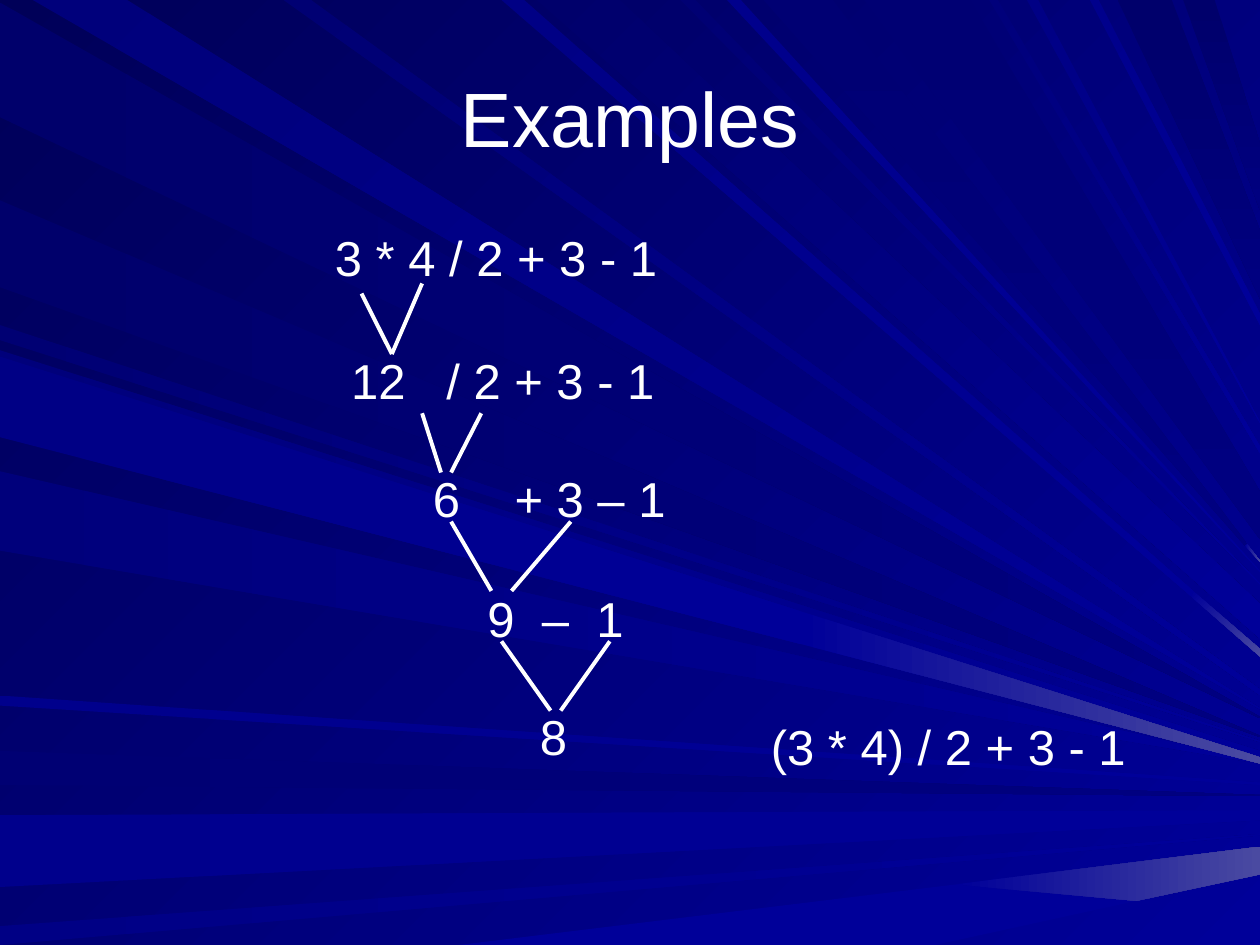
"""Slide of an expression evaluated step by step over a field of blue rays."""
from lxml.etree import SubElement
from pptx import Presentation
from pptx.dml.color import RGBColor as Rgb
from pptx.enum.shapes import MSO_CONNECTOR as Connector
from pptx.enum.text import MSO_ANCHOR as Anchor, MSO_AUTO_SIZE as AutoSize, PP_ALIGN as Align
from pptx.oxml.ns import qn
from pptx.util import Emu, Inches, Pt

COLUMNS, ROWS = 1000, 750
CELL = Inches(0.01)
FONT = "Arial"
SPACE = Pt(28 * 0.278)

COLORS = {
    "white": "FFFFFF", "haze": "4A4AA1", "night": "000058",
    "deep": "00006B", "dark": "000073", "dusk": "00007B",
    "navy": "000080", "mid": "000085", "soft": "00008C", "blue": "000099",
}

RAYS = [
    ("left", 2, 93, 569, "deep", "navy"),
    ("top", 26, 101, 562, "dusk", "blue"),
    ("left", 596, 623, 631, "dark", "navy"),
    ("left", 647, 704, 643, "soft", "blue", 8),
    ("left", 735, 750, 662, "mid", "blue"),
    ("bottom", 364, 742, 672, "blue", "blue", 22, 0.62),
    ("left", 258, 270, 588, "dark", "blue"),
    ("left", 159, 228, 584, "deep", "navy"),
    ("top", 398, 416, 515, "mid", "blue", 6, 0.91),
    ("top", 426, 492, 479, "deep", "blue", 28),
    ("top", 540, 552, 463, "dark", "blue"),
    ("top", 606, 661, 445, "dark", "navy", 1, 0.97),
    ("top", 887, 930, 183, "deep", "navy", 54),
    ("top", 939, 964, 114, "deep", "navy", 53),
    ("left", 278, 342, 596, "dusk", "blue", 6),
    ("left", 374, 437, 605, "dusk", "blue"),
    ("left", 552, 560, 621, "soft", "blue", 2),
    ("top", 225, 247, 547, "dark", "blue", 5),
    ("top", 577, 588, 453, "soft", "blue"),
    ("top", 686, 770, 390, "dark", "navy", 38),
    ("top", 785, 792, 354, "dusk", "blue", 6),
    ("top", 815, 824, 335, "mid", "blue"),
    ("top", 865, 872, 249, "soft", "blue", 9),
    ("left", 283, 347, 601, "mid", "blue", 5, 0.635),
]

EXPRESSIONS = [
    (256, 176, 280, "3 * 4 / 2 + 3 - 1", []),
    (258, 273, 276, "\t12\t/ 2 + 3 - 1", [1, 8]),
    (258, 367, 284, "\t6\t+ 3 – 1", [7, 13]),
    (258, 462, 251, "\t9\t–\t1", [11, 15, 19]),
    (602, 564, 306, "(3 * 4) / 2 + 3 - 1", []),
    (397, 556, 67, "\t8", [2]),
]

BRANCHES = [
    (287, 335, 311, 0, 233, 48, 8),
    (335, 382, 350, 8, 328, 47),
    (398, 484, 437, 8, 509, 55),
    (358, 453, 390, 16, 414, 55),
]


def grid(*cells):
    """Turn counts of grid cells into lengths."""
    return [Emu(count * CELL) for count in cells]


def color(name):
    """Look up a named colour."""
    return Rgb.from_string(COLORS[name])


def paint(fill, start, end, angle):
    """Fill with one colour, or with a clockwise-angled gradient of two."""
    if start == end:
        fill.solid()
        fill.fore_color.rgb = color(start)
        return
    fill.gradient()
    fill.gradient_angle = -angle % 360
    for stop, name in zip(fill.gradient_stops, (start, end)):
        stop.color.rgb = color(name)


def add_run(paragraph, wording, size):
    """Add white text to a paragraph."""
    run = paragraph.add_run()
    run.text = wording
    run.font.name, run.font.size = FONT, Pt(size)
    run.font.color.rgb = color("white")


def along(source, target, share):
    """Find the point at a share of the way between two points."""
    return tuple(a + (b - a) * share for a, b in zip(source, target))


def add_wedge(backdrop, sides, near, far, start, end, angle):
    """Draw the part of a ray that lies between two shares of its length."""
    upper, lower = sides
    corners = [along(*upper, near), along(*upper, far), along(*lower, far), along(*lower, near)]
    outline = backdrop.shapes.build_freeform(*corners[0], scale=CELL)
    outline.add_line_segments(corners[1:], close=True)
    wedge = outline.convert_to_shape()
    wedge.shadow.inherit = False
    wedge.line.fill.background()
    paint(wedge.fill, start, end, angle)


def add_ray(backdrop, edge, first, last, tip, start, end, spread=1, knee=1):
    """Draw a ray from an edge to the right side, hazy beyond its knee."""
    if edge == "left":
        sources = (0, first), (0, last)
    else:
        level = 0 if edge == "top" else ROWS
        sources = (last, level), (first, level)
    if edge == "bottom":
        sources = sources[::-1]
    sides = list(zip(sources, ((COLUMNS, tip), (COLUMNS, tip + spread))))
    angle = 0 if edge != "top" else 90 if end == "navy" else 45
    add_wedge(backdrop, sides, 0, knee, start, end, angle)
    if knee < 1:
        add_wedge(backdrop, sides, knee, 1, "blue", "haze", angle % 90)


def add_rays(slide):
    """Draw the rays as one group behind everything else."""
    backdrop = slide.shapes.add_group_shape()
    for ray in RAYS:
        add_ray(backdrop, *ray)
    slide.shapes.element.insert(2, backdrop.element)


def add_title(slide, wording):
    """Place and format the title placeholder."""
    title = slide.shapes.title
    title.left, title.top, title.width, title.height = grid(50, 30, 900, 125)
    title.text_frame.vertical_anchor = Anchor.MIDDLE
    heading = title.text_frame.paragraphs[0]
    heading.alignment = Align.CENTER
    add_run(heading, wording, 44)


def add_expression(slide, left, top, width, wording, stops):
    """Add an expression, with tab stops counted in space widths."""
    frame = slide.shapes.add_textbox(*grid(left, top, width, 57)).text_frame
    frame.word_wrap = True
    frame.auto_size = AutoSize.SHAPE_TO_FIT_TEXT
    paragraph = frame.paragraphs[0]
    if stops:
        tabs = SubElement(paragraph._p.get_or_add_pPr(), qn("a:tabLst"))
        for stop in stops:
            SubElement(tabs, qn("a:tab"), pos=str(int(stop * SPACE)), algn="l")
    add_run(paragraph, wording, 28)


def add_branch(slide, left, right, tip, gap, top, drop, lift=0):
    """Join two operands to their result with a pair of lines."""
    branch = slide.shapes.add_group_shape()
    arms = (left, top, tip), (right, top - lift, tip + gap)
    for operand, start, result in arms:
        ends = grid(operand, start, result, top + drop)
        arm = branch.shapes.add_connector(Connector.STRAIGHT, *ends)
        arm.line.color.rgb = color("white")
        arm.line.width = Pt(2.25)
        SubElement(arm.element.spPr, qn("a:effectLst"))


def main():
    """Build and save the slide."""
    deck = Presentation()
    deck.slide_width, deck.slide_height = grid(COLUMNS, ROWS)
    slide = deck.slides.add_slide(deck.slide_layouts[5])
    paint(slide.background.fill, "night", "blue", 45)
    add_rays(slide)
    add_title(slide, "Examples")
    for expression in EXPRESSIONS:
        add_expression(slide, *expression)
    for branch in BRANCHES:
        add_branch(slide, *branch)
    deck.save("out.pptx")


if __name__ == "__main__":
    main()
